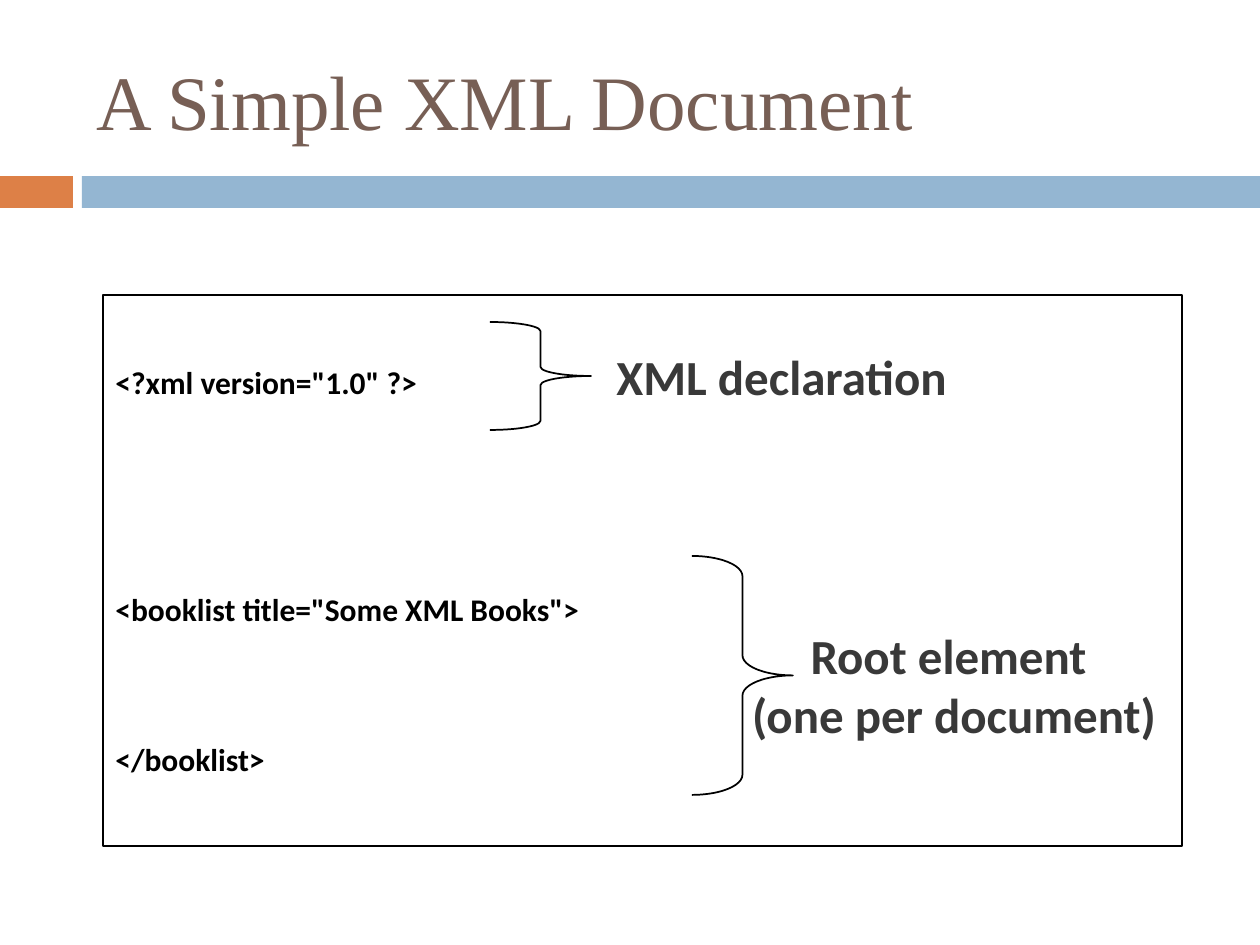
"""Build the slide on the parts of a simple XML document."""
from dataclasses import dataclass

from pptx import Presentation
from pptx import util as u
from pptx.dml.color import RGBColor
from pptx.enum import shapes, text


@dataclass(frozen=True)
class Theme:
    orange: str = "DD8047"
    blue: str = "94B6D2"
    brown: str = "775F55"
    ink: str = "000000"
    grey: str = "393939"
    white: str = "FFFFFF"
    serif: str = "Times New Roman"
    sans: str = "Calibri"
    title: int = 44
    label: int = 28
    code: int = 18


T = Theme()
PX = u.Inches(1) // 126

prs = Presentation()
prs.slide_width, prs.slide_height = u.Inches(10), u.Inches(7.5)
s = prs.slides.add_slide(prs.slide_layouts[5])


def add_shape(kind, box, fill=None, line=None):
    sp = s.shapes.add_shape(kind, *(v * PX for v in box))
    sp.shadow.inherit = False
    if fill:
        sp.fill.solid()
        sp.fill.fore_color.rgb = RGBColor.from_string(fill)
    else:
        sp.fill.background()
    if line:
        sp.line.color.rgb = RGBColor.from_string(line)
        sp.line.width = u.Pt(1)
    else:
        sp.line.fill.background()
    return sp


def add_run(p, words, size, color, font=T.sans, bold=True):
    r = p.add_run()
    r.text = words
    r.font.size, r.font.name, r.font.bold = u.Pt(size), font, bold
    r.font.color.rgb = RGBColor.from_string(color)


rect, brace = shapes.MSO_SHAPE.RECTANGLE, shapes.MSO_SHAPE.RIGHT_BRACE
add_shape(rect, (0, 176, 73, 32), T.orange)
add_shape(rect, (82, 176, 1178, 32), T.blue)

title = s.shapes.title
title.left, title.top, title.width, title.height = (v * PX for v in (84, 32, 1124, 136))
title.text_frame.vertical_anchor = text.MSO_ANCHOR.MIDDLE
p = title.text_frame.paragraphs[0]
p.alignment = text.PP_ALIGN.LEFT
add_run(p, "A Simple XML Document", T.title, T.brown, T.serif, False)

code = add_shape(rect, (103, 295, 1079, 551), T.white, T.ink)
tf = code.text_frame
tf.word_wrap = False
tf.vertical_anchor = text.MSO_ANCHOR.MIDDLE
code_lines = [
    ('<?xml version="1.0" ?>', 0),
    ('<booklist title="Some XML Books">', 108),
    ("</booklist>", 64),
]
for i, (words, gap) in enumerate(code_lines):
    p = tf.add_paragraph() if i else tf.paragraphs[0]
    p.alignment = text.PP_ALIGN.LEFT
    p.space_before = u.Pt(gap)
    add_run(p, words, T.code, T.ink)

callouts = [
    ((692, 556, 101, 239), 0.2, (738, 612, 432, 144), text.PP_ALIGN.CENTER,
     ["Root element ", "(one per document)"]),
    ((490, 322, 101, 108), 0.09, (604, 304, 580, 144), text.PP_ALIGN.LEFT,
     ["XML declaration"]),
]
for brace_box, curve, label_box, align, lines in callouts:
    sp = add_shape(brace, brace_box, line=T.ink)
    sp.adjustments[0] = curve
    sp.adjustments[1] = 0.5
    tf = s.shapes.add_textbox(*(v * PX for v in label_box)).text_frame
    tf.word_wrap = align == text.PP_ALIGN.LEFT
    tf.vertical_anchor = text.MSO_ANCHOR.MIDDLE
    p = tf.paragraphs[0]
    p.alignment = align
    for i, words in enumerate(lines):
        if i:
            p.add_line_break()
        add_run(p, words, T.label, T.grey)

prs.save("out.pptx")
